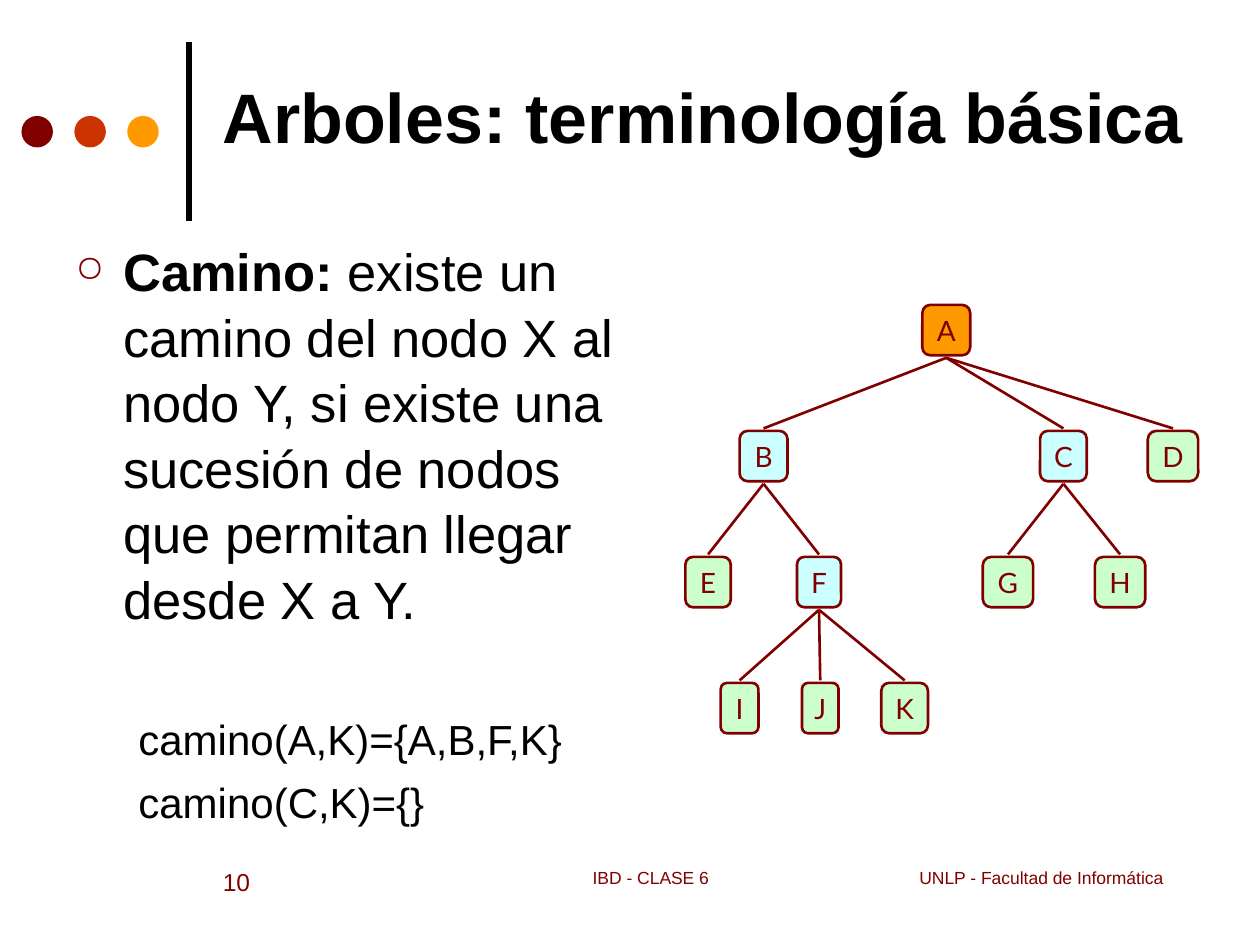
import pptx
import pptx.dml.color
import pptx.enum.shapes
import pptx.enum.text
import pptx.oxml
import pptx.oxml.ns
import pptx.util
from dataclasses import dataclass

Inches = pptx.util.Inches
Pt = pptx.util.Pt
Align = pptx.enum.text.PP_ALIGN
Anchor = pptx.enum.text.MSO_ANCHOR
Preset = pptx.enum.shapes.MSO_SHAPE


@dataclass(frozen=True)
class Theme:
    black: str = "000000"
    maroon: str = "800000"
    red: str = "CC3300"
    orange: str = "FF9900"
    inner_node: str = "CCFFFF"
    leaf_node: str = "CCFFCC"
    font: str = "Arial"
    node_font: str = "Lato"
    title: int = 40
    body: int = 30
    example: int = 24
    node: int = 16
    page: int = 14
    footer: int = 10


THEME = Theme()

# Tree: label -> (centre x, level, width), and parent -> children
NODES = {
    "A": (7.51, 0, 0.38),
    "B": (6.06, 1, 0.38), "C": (8.44, 1, 0.37), "D": (9.31, 1, 0.4),
    "E": (5.62, 2, 0.36), "F": (6.5, 2, 0.35),
    "G": (8, 2, 0.4), "H": (8.89, 2, 0.4),
    "I": (5.87, 3, 0.3), "J": (6.51, 3, 0.29), "K": (7.18, 3, 0.37),
}
CHILDREN = {"A": "BCD", "B": "EF", "C": "GH", "F": "IJK"}
TREE_TOP, LEVEL_STEP, NODE_HEIGHT, EDGE_GAP = 2.42, 1, 0.4, 0.02


def rgb(color):
    return pptx.dml.color.RGBColor.from_string(color)


def style_run(run, size, color, font=THEME.font, bold=False):
    run.font.size = Pt(size)
    run.font.name = font
    run.font.bold = bold
    run.font.color.rgb = rgb(color)


def add_text(slide, box, text, size, color, align=Align.LEFT,
             anchor=Anchor.TOP, bold=False):
    frame = slide.shapes.add_textbox(*map(Inches, box)).text_frame
    frame.word_wrap = True
    frame.vertical_anchor = anchor
    frame.text = text
    frame.paragraphs[0].alignment = align
    style_run(frame.paragraphs[0].runs[0], size, color, bold=bold)
    return frame


def add_filled(slide, preset, box, fill):
    shape = slide.shapes.add_shape(preset, *map(Inches, box))
    shape.shadow.inherit = False
    shape.fill.solid()
    shape.fill.fore_color.rgb = rgb(fill)
    return shape


def add_line(slide, start, end, color, width):
    line = slide.shapes.add_connector(
        pptx.enum.shapes.MSO_CONNECTOR.STRAIGHT, *map(Inches, start + end))
    line.line.color.rgb = rgb(color)
    line.line.width = Pt(width)
    properties = line._element.spPr
    properties.append(properties.makeelement(pptx.oxml.ns.qn("a:effectLst"), {}))


def set_indent(paragraph, left, first=0):
    properties = paragraph._p.get_or_add_pPr()
    properties.set("marL", str(Inches(left)))
    properties.set("indent", str(Inches(first)))
    return properties


def add_bullet(properties, char, color, percent):
    namespace = pptx.oxml.ns.nsdecls("a")
    for xml in (
        f'<a:buClr {namespace}><a:srgbClr val="{color}"/></a:buClr>',
        f'<a:buSzPct {namespace} val="{percent * 1000}"/>',
        f'<a:buChar {namespace} char="{char}"/>',
    ):
        properties.append(pptx.oxml.parse_xml(xml))


def add_definition(slide):
    frame = add_text(slide, (0.5, 1.83, 4.7, 4.67), "Camino: ",
                     THEME.body, THEME.black, bold=True)
    definition = frame.paragraphs[0]
    meaning = definition.add_run()
    meaning.text = ("existe un camino del nodo X al nodo Y, si existe una "
                    "sucesión de nodos que permitan llegar desde X a Y.")
    style_run(meaning, THEME.body, THEME.black)
    definition.space_before = Pt(7.5)
    definition.line_spacing = 1.04
    add_bullet(set_indent(definition, 0.38, -0.38), "○", THEME.maroon, 70)

    for text, gap in (("camino(A,K)={A,B,F,K}", 47), ("camino(C,K)={}", 6)):
        example = frame.add_paragraph()
        example.text = text
        example.alignment = Align.JUSTIFY
        example.space_before = Pt(gap)
        example.line_spacing = 1.04
        set_indent(example, 0.5)
        style_run(example.runs[0], THEME.example, THEME.black)


def level_top(level):
    return TREE_TOP + level * LEVEL_STEP


def add_node(slide, label):
    center, level, width = NODES[label]
    if level == 0:
        fill = THEME.orange
    else:
        fill = THEME.inner_node if label in CHILDREN else THEME.leaf_node
    box = (center - width / 2, level_top(level), width, NODE_HEIGHT)
    node = add_filled(slide, Preset.ROUNDED_RECTANGLE, box, fill)
    node.line.color.rgb = rgb(THEME.maroon)
    node.line.width = Pt(1.5)
    frame = node.text_frame
    frame.word_wrap = False
    frame.vertical_anchor = Anchor.MIDDLE
    frame.text = label
    frame.paragraphs[0].alignment = Align.CENTER
    style_run(frame.paragraphs[0].runs[0], THEME.node, THEME.maroon,
              THEME.node_font)


def add_edge(slide, parent, child):
    parent_x, parent_level, _ = NODES[parent]
    child_x, child_level, _ = NODES[child]
    add_line(slide,
             (parent_x, level_top(parent_level) + NODE_HEIGHT + EDGE_GAP),
             (child_x, level_top(child_level) - EDGE_GAP),
             THEME.maroon, 1.5)


def main():
    deck = pptx.Presentation()
    deck.slide_width, deck.slide_height = Inches(10), Inches(7.5)
    slide = deck.slides.add_slide(deck.slide_layouts[6])

    # Heading with its rule and dots
    add_line(slide, (1.5, 1.75), (1.5, 0.33), THEME.black, 3)
    for index, color in enumerate((THEME.maroon, THEME.red, THEME.orange)):
        dot = add_filled(slide, Preset.OVAL,
                         (0.17 + 0.42 * index, 0.92, 0.25, 0.25), color)
        dot.line.fill.background()
    add_text(slide, (1.67, 0.58, 7.83, 0.68), "Arboles: terminología básica",
             THEME.title, THEME.black, anchor=Anchor.MIDDLE, bold=True)

    # Definition and examples
    add_definition(slide)

    # Tree
    for label in NODES:
        add_node(slide, label)
    for parent, children in CHILDREN.items():
        for child in children:
            add_edge(slide, parent, child)

    # Footer
    for left, width, text, size, align in (
        (3.58, 3.17, "IBD - CLASE 6", THEME.footer, Align.CENTER),
        (1.67, 1.42, "10", THEME.page, Align.LEFT),
        (6.65, 2.68, "UNLP - Facultad de Informática", THEME.footer,
         Align.RIGHT),
    ):
        add_text(slide, (left, 6.83, width, 0.5), text, size, THEME.maroon,
                 align)

    deck.save("out.pptx")


if __name__ == "__main__":
    main()
